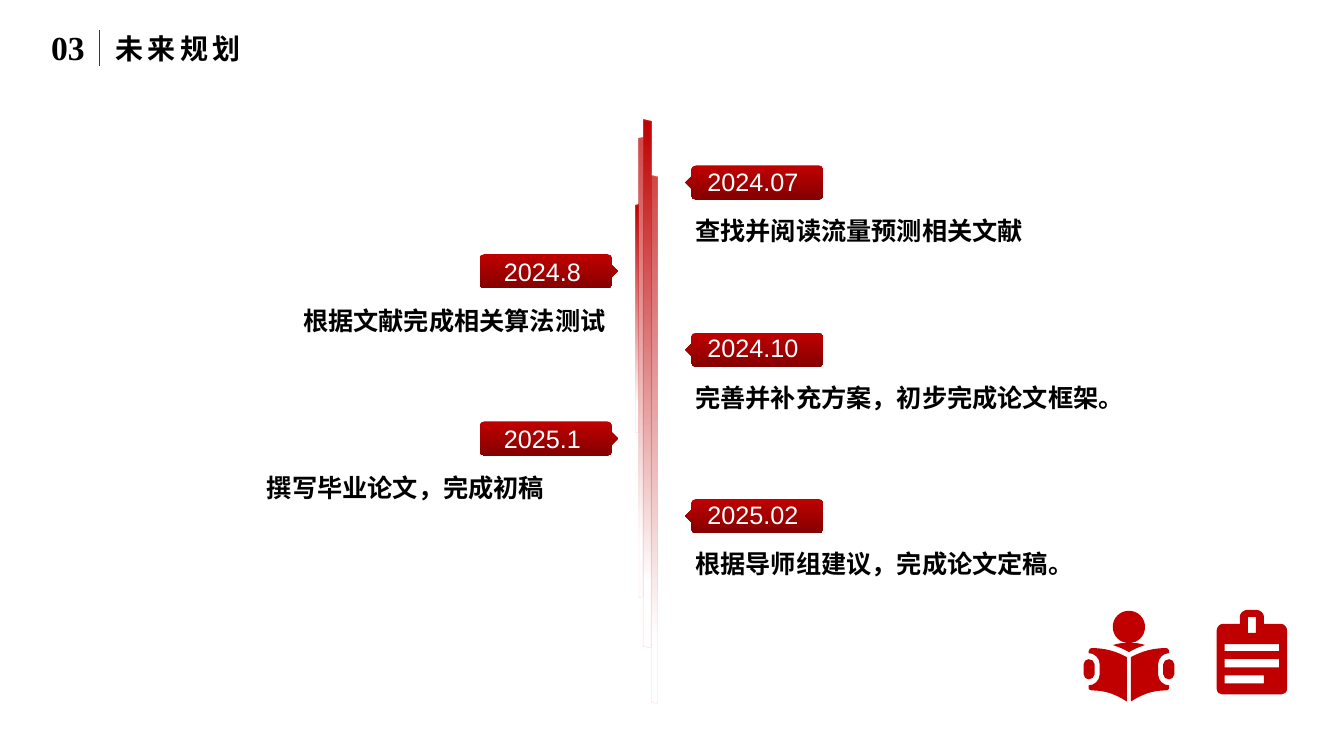
from pptx import Presentation
from pptx.dml.color import RGBColor
from pptx.enum.shapes import MSO_CONNECTOR, MSO_SHAPE
from pptx.enum.text import MSO_AUTO_SIZE, PP_ALIGN
from pptx.oxml.ns import qn
from pptx.oxml.xmlchemy import OxmlElement
from pptx.util import Inches, Pt

PARALLELOGRAM = MSO_SHAPE.PARALLELOGRAM
STRAIGHT = MSO_CONNECTOR.STRAIGHT
FIT_SHAPE = MSO_AUTO_SIZE.SHAPE_TO_FIT_TEXT
JUSTIFY = PP_ALIGN.JUSTIFY

# Content
RED, DARK_RED, PINK = "C00000", "850000", "FF7676"
BLACK, WHITE = "000000", "FFFFFF"
CJK = "Noto Sans CJK SC"

NUMBER_FORMAT = {"name": "Times New Roman", "size": Pt(24), "bold": True}
TITLE_FORMAT = {"name": CJK, "size": Pt(20), "bold": True}
DATE_FORMAT = {"name": "Arial", "size": Pt(18)}
TASK_FORMAT = {"name": CJK, "size": Pt(18), "bold": True}

# side, tag top, date top, date, task, task left, task width
MILESTONES = [
    ("right", 1.64, 1.6, "2024.07", "查找并阅读流量预测相关文献", 6.8, 5),
    ("left", 2.52, 2.49, "2024.8", "根据文献完成相关算法测试", 2.91, 3.27),
    ("right", 3.3, 3.25, "2024.10", "完善并补充方案，初步完成论文框架。", 6.8, 5),
    ("left", 4.18, 4.15, "2025.1", "撰写毕业论文，完成初稿", 2.55, 3.56),
    ("right", 4.95, 4.9, "2025.02", "根据导师组建议，完成论文定稿。", 6.8, 4.23),
]
DATE_BOX = {"right": (6.92, 1.13), "left": (4.9, 0.99)}
TAG_MIRROR_SUM = 12.93  # left tags mirror the right ones
DATE_HEIGHT, TASK_HEIGHT = 0.4, 0.49

# left, top, length, thickness, opacity at the top, flipped
BARS = [
    (4.08, 3.63, 4.56, 0.04, 72, True),
    (3.8, 3.77, 5.24, 0.08, 100, False),
    (3.87, 4.33, 5.24, 0.06, 72, False),
    (5.19, 3.15, 2.26, 0.03, 100, True),
]
BAR_LINE_OPACITY = 30

# Outlines: a pair is a corner, six numbers are a curve
TAG = [
    (8.12, 0), (6.91, 0), (6.88, 0, 6.86, 0.02, 6.86, 0.04), (6.86, 0.11),
    (6.8, 0.17), (6.86, 0.23), (6.86, 0.3), (6.86, 0.32, 6.88, 0.34, 6.91, 0.34),
    (8.12, 0.34), (8.15, 0.34, 8.17, 0.32, 8.17, 0.3), (8.17, 0.04),
    (8.17, 0.02, 8.15, 0, 8.12, 0),
]
BOARD = [
    (12.71, 6.19), (12.54, 6.19), (12.54, 6.12),
    (12.54, 6.08, 12.5, 6.05, 12.46, 6.05), (12.38, 6.05),
    (12.34, 6.05, 12.3, 6.08, 12.3, 6.12), (12.3, 6.19), (12.13, 6.19),
    (12.1, 6.19, 12.07, 6.22, 12.07, 6.26), (12.07, 6.83),
    (12.07, 6.87, 12.1, 6.89, 12.13, 6.89), (12.71, 6.89),
    (12.74, 6.89, 12.77, 6.87, 12.77, 6.83), (12.77, 6.26),
    (12.77, 6.22, 12.74, 6.19, 12.71, 6.19),
]
# left, top, right, bottom of the openings in the clipboard
BOARD_HOLES = [
    (12.38, 6.12, 12.46, 6.28), (12.15, 6.39, 12.69, 6.46),
    (12.15, 6.54, 12.69, 6.62), (12.15, 6.7, 12.54, 6.78),
]
READER_MIRROR_SUM = 22.4
HEAD = [
    (11.36, 6.22), (11.36, 6.13, 11.29, 6.06, 11.2, 6.06),
    (11.11, 6.06, 11.04, 6.13, 11.04, 6.22),
    (11.04, 6.31, 11.11, 6.38, 11.2, 6.38),
    (11.29, 6.38, 11.36, 6.31, 11.36, 6.22),
]
COLLAR = [
    (11.25, 6.38), (11.15, 6.38), (11.11, 6.38, 11.08, 6.39, 11.04, 6.4),
    (11.1, 6.42, 11.15, 6.44, 11.2, 6.47),
    (11.25, 6.44, 11.3, 6.42, 11.36, 6.4), (11.33, 6.39, 11.29, 6.38, 11.25, 6.38),
]
HAND = [
    (10.86, 6.69), (10.86, 6.59), (10.86, 6.56, 10.83, 6.54, 10.8, 6.54),
    (10.78, 6.54, 10.75, 6.56, 10.75, 6.59), (10.75, 6.69),
    (10.75, 6.72, 10.78, 6.74, 10.8, 6.74), (10.83, 6.74, 10.86, 6.72, 10.86, 6.69),
]
PAGE = [
    (10.8, 6.46), (10.8, 6.48), (10.86, 6.48, 10.91, 6.53, 10.91, 6.59),
    (10.91, 6.69), (10.91, 6.75, 10.86, 6.8, 10.8, 6.8), (10.8, 6.83),
    (10.8, 6.84, 10.82, 6.85, 10.83, 6.85),
    (10.97, 6.85, 11.07, 6.89, 11.18, 6.96), (11.18, 6.52),
    (11.07, 6.46, 10.96, 6.43, 10.83, 6.43), (10.82, 6.43, 10.8, 6.44, 10.8, 6.46),
]

presentation = Presentation()
presentation.slide_height = Inches(7.5)
presentation.slide_width = presentation.slide_height * 16 // 9
slide = presentation.slides.add_slide(presentation.slide_layouts[6])


def color(hex_value):
    return RGBColor.from_string(hex_value)


def mirror(outline, total):
    return [tuple(total - value if index % 2 == 0 else value
                  for index, value in enumerate(point)) for point in outline]


def shift_down(outline, distance):
    return [tuple(value + distance if index % 2 else value
                  for index, value in enumerate(point)) for point in outline]


def set_opacity(color_element, percent):
    if percent < 100:
        alpha = OxmlElement("a:alpha")
        alpha.set("val", str(percent * 1000))
        color_element.append(alpha)


def add_outline(outlines):
    contours = [[tuple(map(Inches, point)) for point in outline] for outline in outlines]
    builder = slide.shapes.build_freeform(*contours[0][0])
    for index, contour in enumerate(contours):
        if index:
            builder.move_to(*contour[0])
        builder.add_line_segments([point[-2:] for point in contour[1:]], close=True)
    shape = builder.convert_to_shape()

    # Turn the segments that have control points into curves
    segments = list(shape._element.spPr.iter(qn("a:lnTo")))
    targets = [point for contour in contours for point in contour[1:]]
    for segment, target in zip(segments, targets):
        if len(target) == 2:
            continue
        curve = OxmlElement("a:cubicBezTo")
        for x, y in zip(target[::2], target[1::2]):
            node = OxmlElement("a:pt")
            node.set("x", str(x - shape.left))
            node.set("y", str(y - shape.top))
            curve.append(node)
        segment.getparent().replace(segment, curve)

    shape.shadow.inherit = False
    shape.fill.solid()
    shape.fill.fore_color.rgb = color(RED)
    shape.line.fill.background()
    return shape


def set_gradient(shape, angle, stops):
    """Each stop is position, colour and opacity in percent."""
    shape.fill.gradient()
    shape.fill.gradient_angle = angle
    for stop, (position, hex_value, _) in zip(shape.fill.gradient_stops, stops):
        stop.position = position
        stop.color.rgb = color(hex_value)
    gradient = shape._element.spPr.find(qn("a:gradFill"))
    for element, (_, _, opacity) in zip(gradient.iter(qn("a:srgbClr")), stops):
        set_opacity(element, opacity)


def add_text(text, box, text_format, hex_value, wrap=False, spacing=None):
    shape = slide.shapes.add_textbox(*map(Inches, box))
    shape.text_frame.word_wrap = wrap
    shape.text_frame.auto_size = FIT_SHAPE
    paragraph = shape.text_frame.paragraphs[0]
    if wrap:
        paragraph.alignment, paragraph.line_spacing = JUSTIFY, 1.3
    run = paragraph.add_run()
    run.text = text
    for name, value in text_format.items():
        setattr(run.font, name, value)
    run.font.color.rgb = color(hex_value)
    properties = run._r.get_or_add_rPr()
    east_asian = OxmlElement("a:ea")
    east_asian.set("typeface", text_format["name"])
    properties.find(qn("a:latin")).addnext(east_asian)
    if spacing:
        properties.set("spc", str(spacing * 100))


# Heading
add_text("03", (0.41, 0.22, 0.53, 0.5), NUMBER_FORMAT, BLACK)
divider = slide.shapes.add_connector(
    STRAIGHT, Inches(0.99), Inches(0.3), Inches(0.99), Inches(0.65))
divider.line.color.rgb = color(RED)
divider.line.width = Pt(0.5)
divider._element.spPr.append(OxmlElement("a:effectLst"))
add_text("未来规划", (1.05, 0.26, 1.48, 0.44), TITLE_FORMAT, BLACK, spacing=3)

# Fading bars of the time axis
axis = slide.shapes.add_group_shape()
for *box, opacity, flipped in BARS:
    bar = axis.shapes.add_shape(PARALLELOGRAM, *map(Inches, box))
    bar.rotation = 90
    bar.shadow.inherit = False
    set_gradient(bar, 0, [(0, RED, opacity), (0.87, RED, 0)])
    bar.line.color.rgb = color(PINK)
    bar.line.width = Pt(0.25)
    line_color = next(bar._element.spPr.find(qn("a:ln")).iter(qn("a:srgbClr")))
    set_opacity(line_color, BAR_LINE_OPACITY)
    if flipped:
        bar._element.spPr.find(qn("a:xfrm")).set("flipV", "1")

# Clipboard and reader icons
holes = [[(left, top), (left, bottom), (right, bottom), (right, top)]
         for left, top, right, bottom in BOARD_HOLES]
add_outline([BOARD, *holes])
add_outline([HEAD, COLLAR, HAND, PAGE,
             mirror(HAND, READER_MIRROR_SUM), mirror(PAGE, READER_MIRROR_SUM)])

# Milestones
for side, tag_top, date_top, date, task, task_left, task_width in MILESTONES:
    outline = TAG if side == "right" else mirror(TAG, TAG_MIRROR_SUM)
    tag = add_outline([shift_down(outline, tag_top)])
    set_gradient(tag, 270, [(0, RED, 100), (1, DARK_RED, 100)])
    date_left, date_width = DATE_BOX[side]
    add_text(date, (date_left, date_top, date_width, DATE_HEIGHT), DATE_FORMAT, WHITE)
    add_text(task, (task_left, date_top + DATE_HEIGHT, task_width, TASK_HEIGHT),
             TASK_FORMAT, BLACK, wrap=True)

presentation.save("out.pptx")
